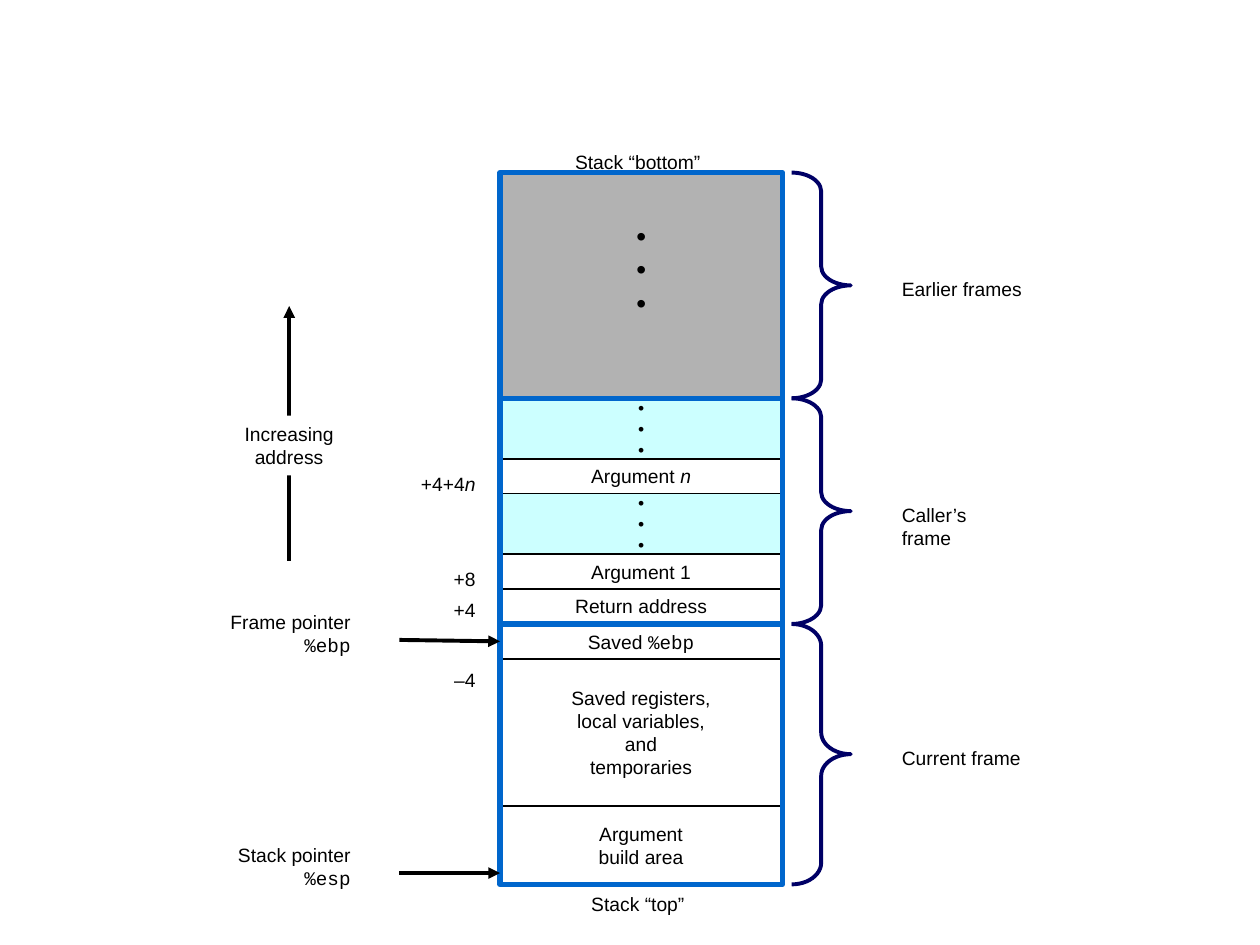
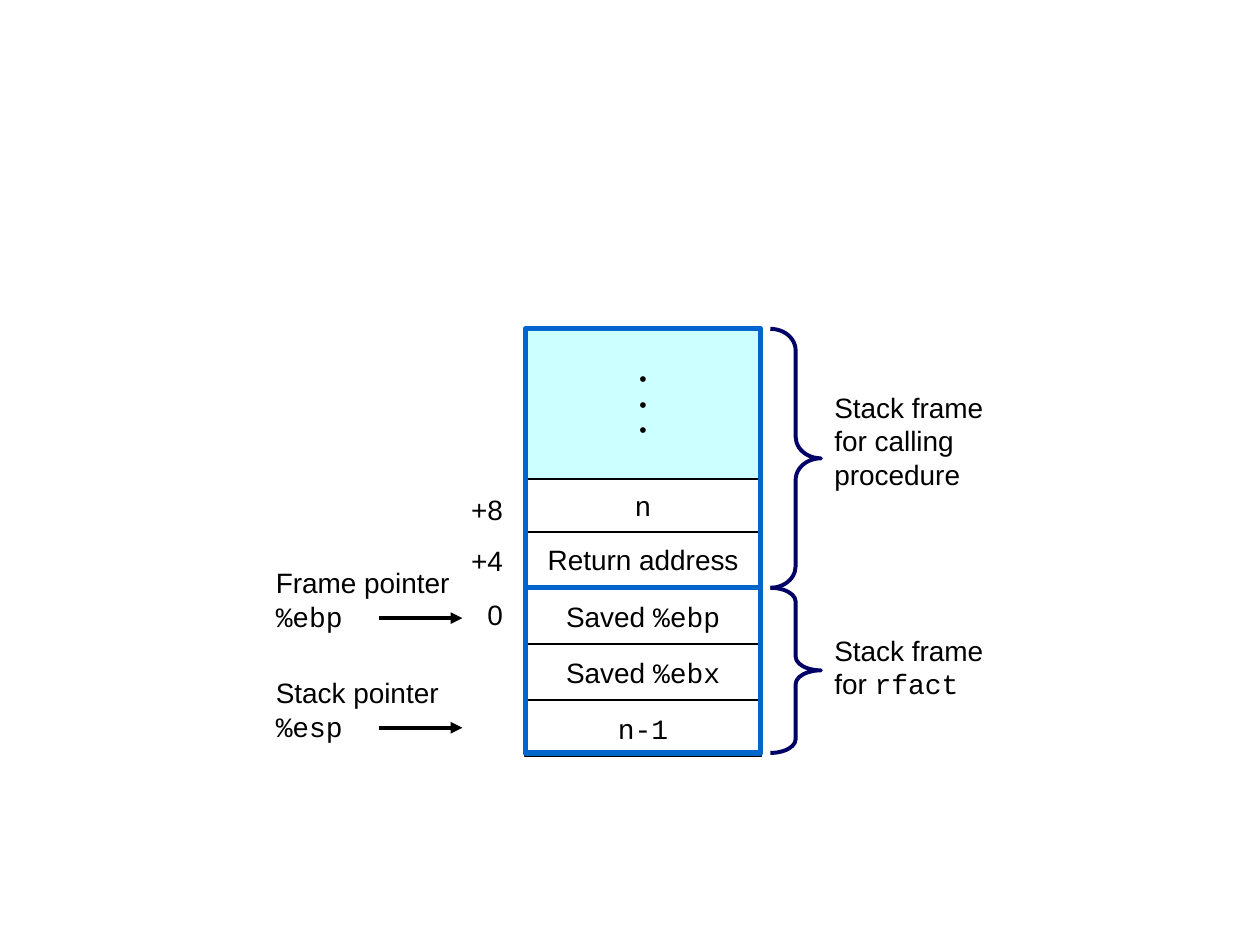
from dataclasses import dataclass

from lxml.etree import SubElement
from pptx import Presentation
from pptx.dml.color import RGBColor
from pptx.enum.shapes import MSO_CONNECTOR as Link, MSO_SHAPE as Preset
from pptx.enum.text import MSO_ANCHOR as Anchor, PP_ALIGN as Align
from pptx.oxml.ns import qn
from pptx.util import Cm, Pt

BLACK = RGBColor(0x00, 0x00, 0x00)
WHITE = RGBColor(0xFF, 0xFF, 0xFF)
GRAY = RGBColor(0xB2, 0xB2, 0xB2)
CYAN = RGBColor(0xCC, 0xFF, 0xFF)
BLUE = RGBColor(0x00, 0x66, 0xCC)
NAVY = RGBColor(0x00, 0x00, 0x66)
SANS, MONO = "Arial", "Courier New"


@dataclass
class Code:
    text: str


@dataclass
class Variable:
    text: str


@dataclass
class Row:
    height: float
    lines: list
    fill: RGBColor = WHITE
    size: int = 0
    lift: float = 0


@dataclass
class Frame:
    height: float
    rows: list
    label: list
    label_rise: float
    label_width: float = 4


def dots(height, fill, size, lift=0):
    return Row(height, ["•"] * 3, fill, size, lift)


def write(frame, lines, size, align):
    frame.word_wrap = True
    frame.margin_left = frame.margin_right = Cm(0.25)
    frame.margin_top = frame.margin_bottom = Cm(0.13)
    for index, line in enumerate(lines):
        paragraph = frame.paragraphs[0] if index == 0 else frame.add_paragraph()
        paragraph.alignment = align
        for part in line if isinstance(line, list) else [line]:
            run = paragraph.add_run()
            run.text = part if isinstance(part, str) else part.text
            run.font.size = Pt(size)
            run.font.name = MONO if isinstance(part, Code) else SANS
            run.font.color.rgb = BLACK
            if isinstance(part, Variable):
                run.font.italic = True


def add_label(slide, left, top, width, lines, size, align=Align.LEFT):
    height = 0.26 + 0.043 * size * len(lines)
    label = slide.shapes.add_textbox(Cm(left), Cm(top), Cm(width), Cm(height))
    write(label.text_frame, lines, size, align)
    return label


def add_box(slide, preset, left, top, width, height, color, weight, fill=None):
    box = slide.shapes.add_shape(preset, Cm(left), Cm(top), Cm(width), Cm(height))
    box.shadow.inherit = False
    if fill is None:
        box.fill.background()
    else:
        box.fill.solid()
        box.fill.fore_color.rgb = fill
    box.line.color.rgb = color
    box.line.width = Pt(weight)
    return box


def add_arrow(slide, x1, y1, x2, y2):
    arrow = slide.shapes.add_connector(Link.STRAIGHT, Cm(x1), Cm(y1), Cm(x2), Cm(y2))
    arrow.line.color.rgb = BLACK
    arrow.line.width = Pt(2.25)
    SubElement(arrow.line._get_or_add_ln(), qn("a:tailEnd"), type="triangle")
    SubElement(arrow._element.spPr, qn("a:effectLst"))
    return arrow


def add_brace(slide, left, top, width, height):
    brace = add_box(slide, Preset.RIGHT_BRACE, left, top, width, height, NAVY, 2.25)
    brace.adjustments[0] = height / 12 / width


def add_stack(slide, left, top, width, frames, size, brace_width, label_gap):
    cells = []
    for frame in frames:
        row_top = top
        for row in frame.rows:
            cell = add_box(slide, Preset.RECTANGLE, left, row_top, width, row.height,
                           BLACK, 1, row.fill)
            write(cell.text_frame, row.lines, row.size or size, Align.CENTER)
            cell.text_frame.vertical_anchor = Anchor.MIDDLE
            cell.text_frame.margin_bottom = Cm(0.13 + row.lift)
            cells.append(cell)
            row_top += row.height
        add_box(slide, Preset.RECTANGLE, left, top, width, frame.height, BLUE, 3)
        brace_left = left + width + 0.19
        add_brace(slide, brace_left, top, brace_width, frame.height)
        add_label(slide, brace_left + brace_width + label_gap,
                  top + frame.height / 2 - frame.label_rise,
                  frame.label_width, frame.label, size)
        top += frame.height
    return cells


def add_offsets(slide, left, width, offsets, size):
    for top, text in offsets:
        add_label(slide, left, top, width, [text], size, Align.RIGHT)


def add_pointer(slide, left, top, width, lines, size, align, arrow_start, arrow_end, drop):
    add_label(slide, left, top, width, lines, size, align)
    return add_arrow(slide, arrow_start, top + drop, arrow_end, top + drop)


def add_address_direction(slide, left, top, width, height):
    middle = left + width / 2
    add_arrow(slide, middle, top + height, middle, top)
    caption = add_label(slide, left, top + 2.21, width, ["Increasing", "address"], 11, Align.CENTER)
    caption.fill.solid()
    caption.fill.fore_color.rgb = WHITE


def build_frame_structure(slide):
    left, top, width, size = 10.08, 3.48, 5.69, 11
    frames = [
        Frame(4.55, [dots(4.55, GRAY, 16, 0.68)], ["Earlier frames"], 0.3),
        Frame(4.55, [
            dots(1.22, CYAN, 10),
            Row(0.7, [["Argument ", Variable("n")]]),
            dots(1.22, CYAN, 10),
            Row(0.7, ["Argument 1"]),
            Row(0.7, ["Return address"]),
        ], ["Caller’s frame"], 0.3, 2.3),
        Frame(5.25, [
            Row(0.7, [["Saved ", Code("%ebp")]]),
            Row(2.97, ["Saved registers,", "local variables,", "and", "temporaries"]),
            Row(1.58, ["Argument", "build area"]),
        ], ["Current frame"], 0.3),
    ]
    cells = add_stack(slide, left, top, width, frames, size, 1.19, 0.78)
    saved_ebp = cells[6]
    for pointer_top, name, register, target in (
        (12.17, "Frame pointer", "%ebp", saved_ebp),
        (16.87, "Stack pointer", "%esp", None),
    ):
        arrow = add_pointer(slide, 3.8, pointer_top, 3.52, [name, [Code(register)]], size,
                            Align.RIGHT, 8.05, left, 0.73)
        if target is not None:
            arrow.end_connect(target, 1)
    for caption_top, caption in ((2.9, "Stack “bottom”"), (17.86, "Stack “top”")):
        add_label(slide, left, caption_top, 5.56, [caption], size, Align.CENTER)
    add_address_direction(slide, 3.78, 6.17, 4.1, 5.13)
    add_offsets(slide, 6.8, 3.04, [
        (9.4, ["+4+4", Variable("n")]), (11.3, "+8"), (11.94, "+4"), (13.34, "–4"),
    ], size)


def build_rfact_frame(slide):
    left, top, width, size = 10.59, 6.63, 4.75, 16
    frames = [
        Frame(5.22, [
            dots(3.02, CYAN, 12),
            Row(1.07, [[Code("n")]]),
            Row(1.13, ["Return address"]),
        ], ["Stack frame", "for calling", "procedure"], 1.5),
        Frame(3.33, [
            Row(1.13, [["Saved ", Code("%ebp")]]),
            Row(1.14, [["Saved ", Code("%ebx")]]),
            Row(1.13, [[Code("n-1")]]),
        ], ["Stack frame", ["for ", Code("rfact")]], 0.88),
    ]
    add_stack(slide, left, top, width, frames, size, 1.02, 0.02)
    for pointer_top, name, register in (
        (11.28, "Frame pointer", "%ebp"), (13.49, "Stack pointer", "%esp"),
    ):
        add_pointer(slide, 5.31, pointer_top, 4.3, [name, [Code(register)]], size,
                    Align.LEFT, 7.65, 9.32, 1.18)
    add_offsets(slide, 8.48, 1.91, [(9.8, "+8"), (10.82, "+4"), (11.91, "0")], size)


def main():
    deck = Presentation()
    deck.slide_width, deck.slide_height = Cm(25.4), Cm(19.05)
    blank = deck.slide_layouts[6]
    for build in (build_frame_structure, build_rfact_frame):
        build(deck.slides.add_slide(blank))
    deck.save("out.pptx")


if __name__ == "__main__":
    main()
